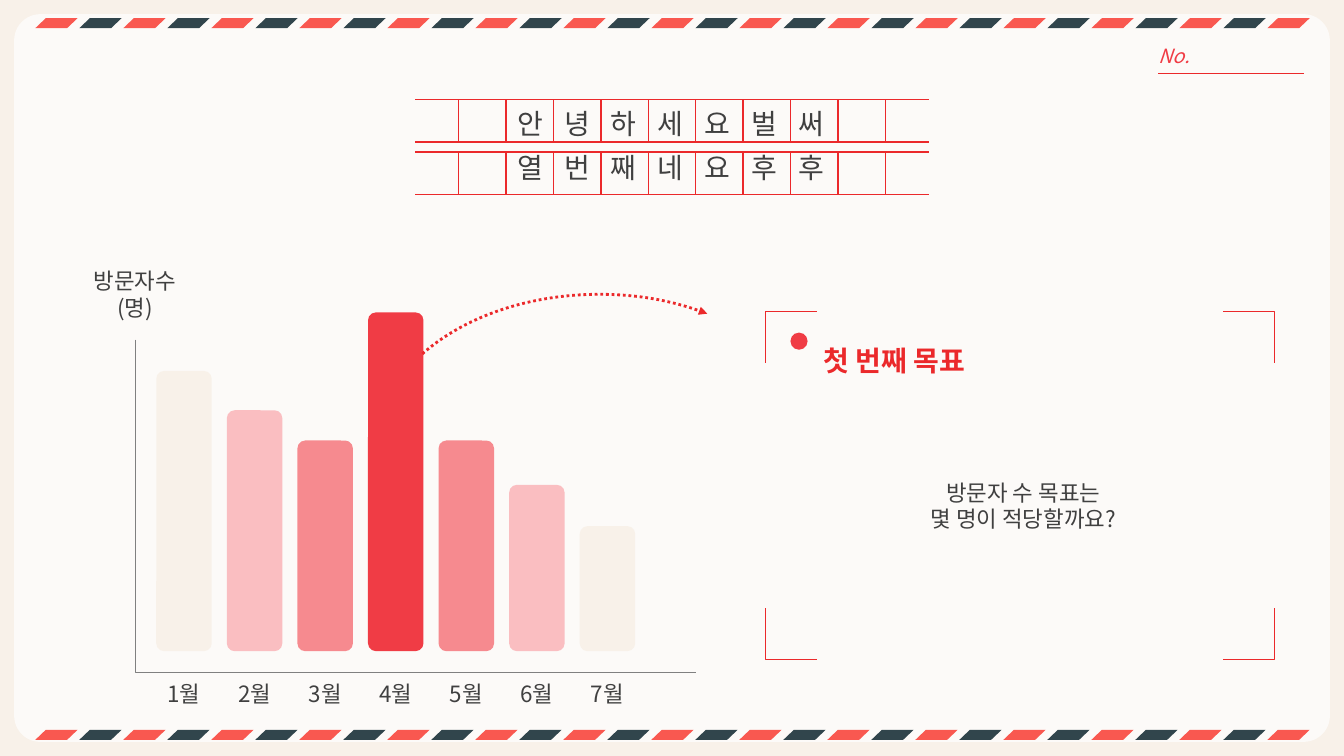
from pptx import Presentation
from pptx.dml.color import RGBColor
from pptx.enum.dml import MSO_LINE
from pptx.enum.shapes import MSO_CONNECTOR, MSO_SHAPE
from pptx.enum.text import MSO_ANCHOR as Anchor, MSO_AUTO_SIZE as AutoSize, PP_ALIGN as Align
from pptx.oxml.ns import qn
from pptx.oxml.xmlchemy import OxmlElement
from pptx.util import Inches, Pt

FONT = "Noto Sans CJK KR"
COLORS = {
    "cream": "F8F1E9", "white": "FFFFFF", "coral": "F95850", "navy": "31454C",
    "red": "EB292B", "rose": "F03C45", "salmon": "F68A8F", "pink": "FABEC1",
    "text": "404040", "axis": "808080",
}


def rgb(name):
    """Return the named palette colour."""
    return RGBColor.from_string(COLORS[name])


def set_line(shape, color, width):
    """Give a shape a solid outline."""
    shape.line.color.rgb = rgb(color)
    shape.line.width = Pt(width)


def add_block(page, kind, left, top, width, height, fill=None, adjust=()):
    """Add a preset shape without outline or shadow."""
    shape = page.shapes.add_shape(kind, *map(Inches, (left, top, width, height)))
    shape.shadow.inherit = False
    for index, value in enumerate(adjust):
        shape.adjustments[index] = value
    if fill:
        shape.fill.solid()
        shape.fill.fore_color.rgb = rgb(fill)
    else:
        shape.fill.background()
    shape.line.fill.background()
    return shape


def add_rule(page, x1, y1, x2, y2):
    """Add a thin red straight line."""
    rule = page.shapes.add_connector(MSO_CONNECTOR.STRAIGHT, *map(Inches, (x1, y1, x2, y2)))
    set_line(rule, "red", 1)
    rule.element.spPr.append(OxmlElement("a:effectLst"))


def add_path(page, points, color, width):
    """Add an open outline through the points."""
    start, *rest = [(Inches(x), Inches(y)) for x, y in points]
    builder = page.shapes.build_freeform(*start)
    builder.add_line_segments(rest, close=False)
    shape = builder.convert_to_shape()
    shape.shadow.inherit = False
    shape.fill.background()
    set_line(shape, color, width)


def write(frame, text, size=16, color="text", bold=False, italic=False,
          align=Align.LEFT, spacing=0, gap=0):
    """Fill a text frame with one paragraph for each line of text."""
    for index, line in enumerate(text.split("\n")):
        para = frame.add_paragraph() if index else frame.paragraphs[0]
        para.alignment = align
        para.space_before = Pt(gap if index else 0)
        span = para.add_run()
        span.text = line
        span.font.size = Pt(size)
        span.font.bold = bold
        span.font.italic = italic
        span.font.color.rgb = rgb(color)
        span.font.name = FONT
        properties = span._r.get_or_add_rPr()
        east = OxmlElement("a:ea")
        east.set("typeface", FONT)
        properties.append(east)
        if spacing:
            properties.set("spc", str(spacing * 100))


def add_text(page, text, left, top, width, height, wrap=True, **style):
    """Add a formatted text box."""
    box = page.shapes.add_textbox(*map(Inches, (left, top, width, height)))
    box.text_frame.word_wrap = wrap
    write(box.text_frame, text, **style)


def draw_letter(page, left, top, width, height):
    """Draw the paper panel, its airmail borders and the number field."""
    panel = add_block(page, MSO_SHAPE.ROUNDED_RECTANGLE, left, top, width, height,
                      "white", [0.036])
    alpha = OxmlElement("a:alpha")
    alpha.set("val", "70000")
    panel.element.spPr.find(qn("a:solidFill"))[0].append(alpha)
    count = 29
    pitch = 12.22 / (count - 1)
    for y in (top + height - 0.12, top + 0.04):
        for index in range(count):
            add_block(page, MSO_SHAPE.PARALLELOGRAM, left + 0.21 + pitch * index, y,
                      0.42, 0.1, ("coral", "navy")[index % 2], [1.049])
    right = left + width
    add_rule(page, right - 1.7, top + 0.59, right - 0.26, top + 0.59)
    add_text(page, "No.", right - 1.8, top + 0.25, 0.51, 0.34, wrap=False,
             size=14, color="rose", italic=True)


def draw_title(page, left, top, width, height):
    """Draw the two manuscript rows and set the title over them."""
    row_height = 0.42
    for y in (top, top + height - row_height):
        for edge in (y, y + row_height):
            add_rule(page, left, edge, left + width, edge)
        for column in range(10):
            x = left + 0.43 + 0.47 * column
            add_rule(page, x, y, x, y + row_height)
    title = page.shapes.title
    title.left, title.top = Inches(left + 0.91), Inches(top + 0.02)
    title.width, title.height = Inches(3.59), Inches(height)
    frame = title.text_frame
    frame.word_wrap = True
    frame.auto_size = AutoSize.NONE
    frame.vertical_anchor = Anchor.TOP
    write(frame, "안녕하세요벌써\n열번째네요후후", size=20, spacing=15, gap=7)
    page.shapes.element.append(title.element)


def draw_bars(page, left, top, width, height):
    """Draw the monthly visitor bars with axis and labels."""
    bars = [(2.78, "cream"), (2.39, "pink"), (2.09, "salmon"), (3.36, "rose"),
            (2.09, "salmon"), (1.65, "pink"), (1.24, "cream")]
    bottom = top + height
    bar_width, label_width = 0.55, 0.64
    for index, (size, color) in enumerate(bars):
        x = left + 0.21 + 0.7 * index
        add_block(page, MSO_SHAPE.ROUNDED_RECTANGLE, x, bottom - 0.21 - size,
                  bar_width, size, color, [0.14])
        add_text(page, f"{index + 1}월", x + (bar_width - label_width) / 2,
                 bottom + 0.03, label_width, 0.37, align=Align.CENTER)
    add_path(page, [(left, top), (left, bottom), (left + width, bottom)], "axis", 0.5)
    add_text(page, "방문자수\n(명)", left - 0.58, top - 0.77, 1.16, 0.64, align=Align.CENTER)


def draw_arrow(page, left, top, width, height):
    """Draw the dotted arc from the tallest bar to the goal."""
    arc = add_block(page, MSO_SHAPE.ARC, left, top, width, height, adjust=[125.01, 185.21])
    set_line(arc, "red", 2)
    arc.line.dash_style = MSO_LINE.ROUND_DOT
    head = OxmlElement("a:tailEnd")
    head.set("type", "triangle")
    arc.element.spPr.find(qn("a:ln")).append(head)


def draw_goal(page, left, top, width, height):
    """Draw the goal text inside four corner marks."""
    arm = 0.51
    for x, dx in ((left, arm), (left + width, -arm)):
        for y, dy in ((top, arm), (top + height, -arm)):
            add_path(page, [(x + dx, y), (x, y), (x, y + dy)], "red", 1)
    add_block(page, MSO_SHAPE.OVAL, left + 0.25, top + 0.21, 0.17, 0.17, "rose")
    add_text(page, "첫 번째 목표", left + 0.48, top + 0.27, 2.08, 0.44,
             size=20, color="red", bold=True)
    add_text(page, "방문자 수 목표는\n몇 명이 적당할까요?", left + 1.33, top + 1.61,
             2.46, 0.64, align=Align.CENTER)


def main():
    """Build and save the slide."""
    deck = Presentation()
    deck.slide_width, deck.slide_height = Inches(13.33), Inches(7.5)
    page = deck.slides.add_slide(deck.slide_layouts.get_by_name("Title Only"))
    page.background.fill.solid()
    page.background.fill.fore_color.rgb = rgb("cream")
    draw_letter(page, 0.14, 0.14, 13.05, 7.22)
    draw_title(page, 4.12, 0.99, 5.09, 0.94)
    draw_bars(page, 1.34, 3.37, 5.56, 3.3)
    draw_arrow(page, 3.72, 2.92, 4.44, 3.07)
    draw_goal(page, 7.59, 3.09, 5.05, 3.45)
    deck.save("out.pptx")


if __name__ == "__main__":
    main()
